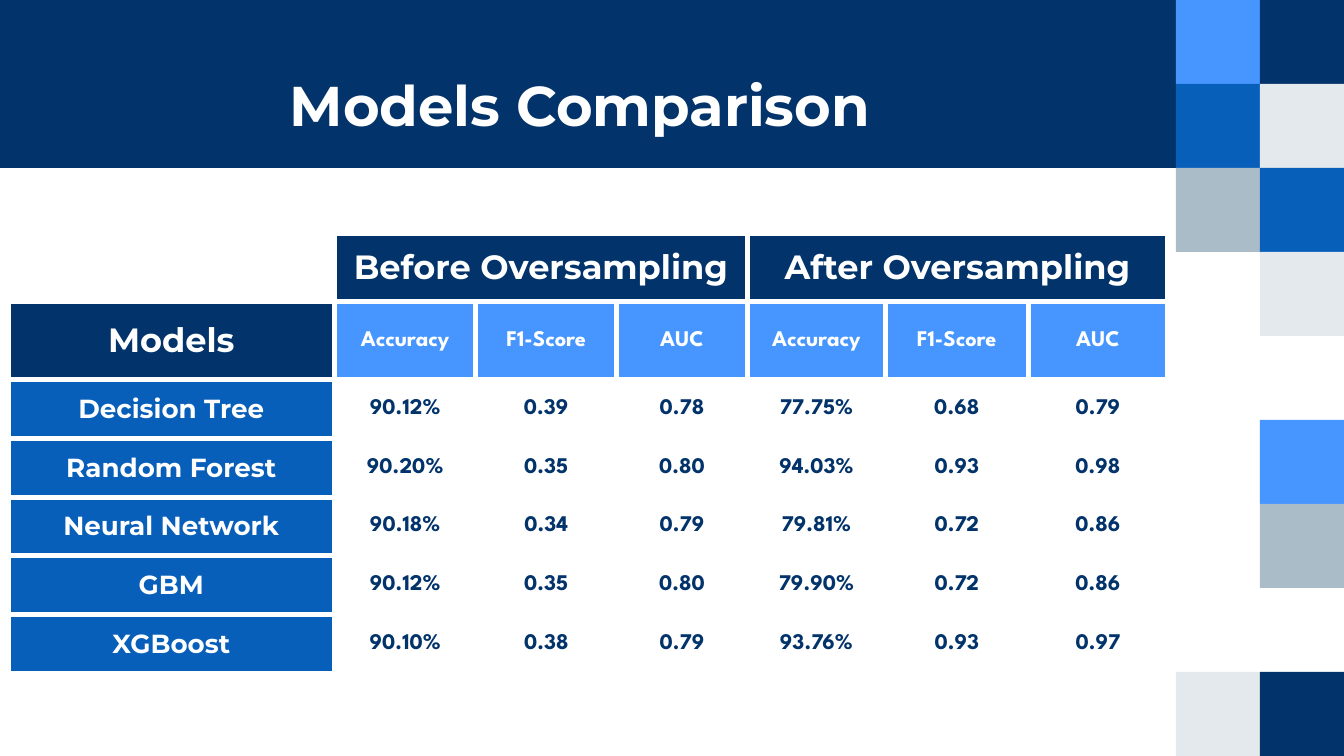
from lxml.etree import SubElement
from pptx import Presentation
from pptx.dml.color import RGBColor
from pptx.enum.shapes import MSO_SHAPE
from pptx.enum.text import MSO_ANCHOR, MSO_AUTO_SIZE, PP_ALIGN
from pptx.oxml.ns import qn
from pptx.util import Inches, Pt

NAVY = RGBColor(0x02, 0x33, 0x6A)
BLUE = RGBColor(0x08, 0x5F, 0xBA)
SKY = RGBColor(0x47, 0x96, 0xFF)
GREY = RGBColor(0xAB, 0xBC, 0xC9)
PALE = RGBColor(0xE3, 0xE9, 0xED)
WHITE = RGBColor(0xFF, 0xFF, 0xFF)
HEADING_FONT = "Montserrat"
FIGURE_FONT = "League Spartan"

TILE = 0.625
MOSAIC = [
    (SKY, NAVY), (BLUE, PALE), (GREY, BLUE), (None, PALE), (None, None),
    (None, SKY), (None, GREY), (None, None), (PALE, NAVY),
]
COLUMN_WIDTHS = [2.43, 1.05, 1.05, 0.97, 1.03, 1.06, 1.04]
ROW_HEIGHTS = [0.5, 0.58] + [0.43] * 5
PERIODS = ["Before Oversampling", "After Oversampling"]
METRICS = ["Accuracy", "F1-Score", "AUC"]
RESULTS = [
    ("Decision Tree", "90.12%", "0.39", "0.78", "77.75%", "0.68", "0.79"),
    ("Random Forest", "90.20%", "0.35", "0.80", "94.03%", "0.93", "0.98"),
    ("Neural Network", "90.18%", "0.34", "0.79", "79.81%", "0.72", "0.86"),
    ("GBM", "90.12%", "0.35", "0.80", "79.90%", "0.72", "0.86"),
    ("XGBoost", "90.10%", "0.38", "0.79", "93.76%", "0.93", "0.97"),
]


def write(frame, text, size=18, font=HEADING_FONT, color=WHITE):
    """Put one centred bold line of text in a text frame."""
    paragraph = frame.paragraphs[0]
    paragraph.alignment = PP_ALIGN.CENTER
    run = paragraph.add_run()
    run.text = text
    run.font.size = Pt(size)
    run.font.name = font
    run.font.bold = True
    run.font.color.rgb = color


def add_mosaic(slide, left, top):
    """Lay the coloured tiles on a two-column grid."""
    for row, colors in enumerate(MOSAIC):
        for column, color in enumerate(colors):
            if color is None:
                continue
            tile = slide.shapes.add_shape(
                MSO_SHAPE.RECTANGLE, Inches(left + column * TILE),
                Inches(top + row * TILE), Inches(TILE), Inches(TILE))
            tile.shadow.inherit = False
            tile.fill.solid()
            tile.fill.fore_color.rgb = color
            tile.line.fill.background()


def add_title_band(slide, left, top, width, height):
    """Turn the title placeholder into the dark band."""
    title = slide.shapes.title
    title.left, title.top = Inches(left), Inches(top)
    title.width, title.height = Inches(width), Inches(height)
    title.fill.solid()
    title.fill.fore_color.rgb = NAVY
    frame = title.text_frame
    frame.auto_size = MSO_AUTO_SIZE.NONE
    frame.vertical_anchor = MSO_ANCHOR.MIDDLE
    frame.margin_left = frame.margin_right = Inches(0.1)
    frame.margin_top, frame.margin_bottom = Inches(0.3), 0
    write(frame, "Models Comparison ", size=30)


def add_borders(cell):
    """Draw white gaps around a cell."""
    properties = cell._tc.get_or_add_tcPr()
    for position, side in enumerate(("a:lnL", "a:lnR", "a:lnT", "a:lnB")):
        border = SubElement(properties, qn(side), w=str(Pt(3)))
        fill = SubElement(border, qn("a:solidFill"))
        SubElement(fill, qn("a:srgbClr"), val=str(WHITE))
        properties.insert(position, border)


def fill_cell(cell, text, fill=None, **text_format):
    """Write and colour one table cell."""
    cell.vertical_anchor = MSO_ANCHOR.MIDDLE
    cell.margin_left = cell.margin_right = Inches(0.1)
    cell.margin_top = cell.margin_bottom = Inches(0.1)
    if fill is not None:
        cell.fill.solid()
        cell.fill.fore_color.rgb = fill
    write(cell.text_frame, text, **text_format)


def add_comparison(slide, left, top):
    """Build the table of model scores."""
    table = slide.shapes.add_table(
        len(ROW_HEIGHTS), len(COLUMN_WIDTHS), Inches(left), Inches(top),
        Inches(sum(COLUMN_WIDTHS)), Inches(sum(ROW_HEIGHTS))).table
    table.first_row = table.horz_banding = False
    for column, width in zip(table.columns, COLUMN_WIDTHS):
        column.width = Inches(width)
    for row, height in zip(table.rows, ROW_HEIGHTS):
        row.height = Inches(height)
    for cell in table.iter_cells():
        cell.fill.background()
        add_borders(cell)

    span = len(METRICS)
    for index, period in enumerate(PERIODS):
        first = 1 + index * span
        table.cell(0, first).merge(table.cell(0, first + span - 1))
        fill_cell(table.cell(0, first), period, fill=NAVY)
    fill_cell(table.cell(1, 0), "Models", fill=NAVY)
    for column, metric in enumerate(METRICS * len(PERIODS), start=1):
        fill_cell(table.cell(1, column), metric, fill=SKY, size=12, font=FIGURE_FONT)
    for row, (model, *scores) in enumerate(RESULTS, start=2):
        fill_cell(table.cell(row, 0), model, fill=BLUE, size=14)
        for column, score in enumerate(scores, start=1):
            fill_cell(table.cell(row, column), score,
                      size=12, font=FIGURE_FONT, color=NAVY)


def main():
    """Build and save the slide."""
    deck = Presentation()
    deck.slide_width, deck.slide_height = Inches(10), Inches(9 * TILE)
    slide = deck.slides.add_slide(deck.slide_layouts[5])
    add_mosaic(slide, 8.75, 0)
    add_title_band(slide, 0, 0, 8.75, 1.25)
    add_comparison(slide, 0.06, 1.74)
    deck.save("out.pptx")


if __name__ == "__main__":
    main()
